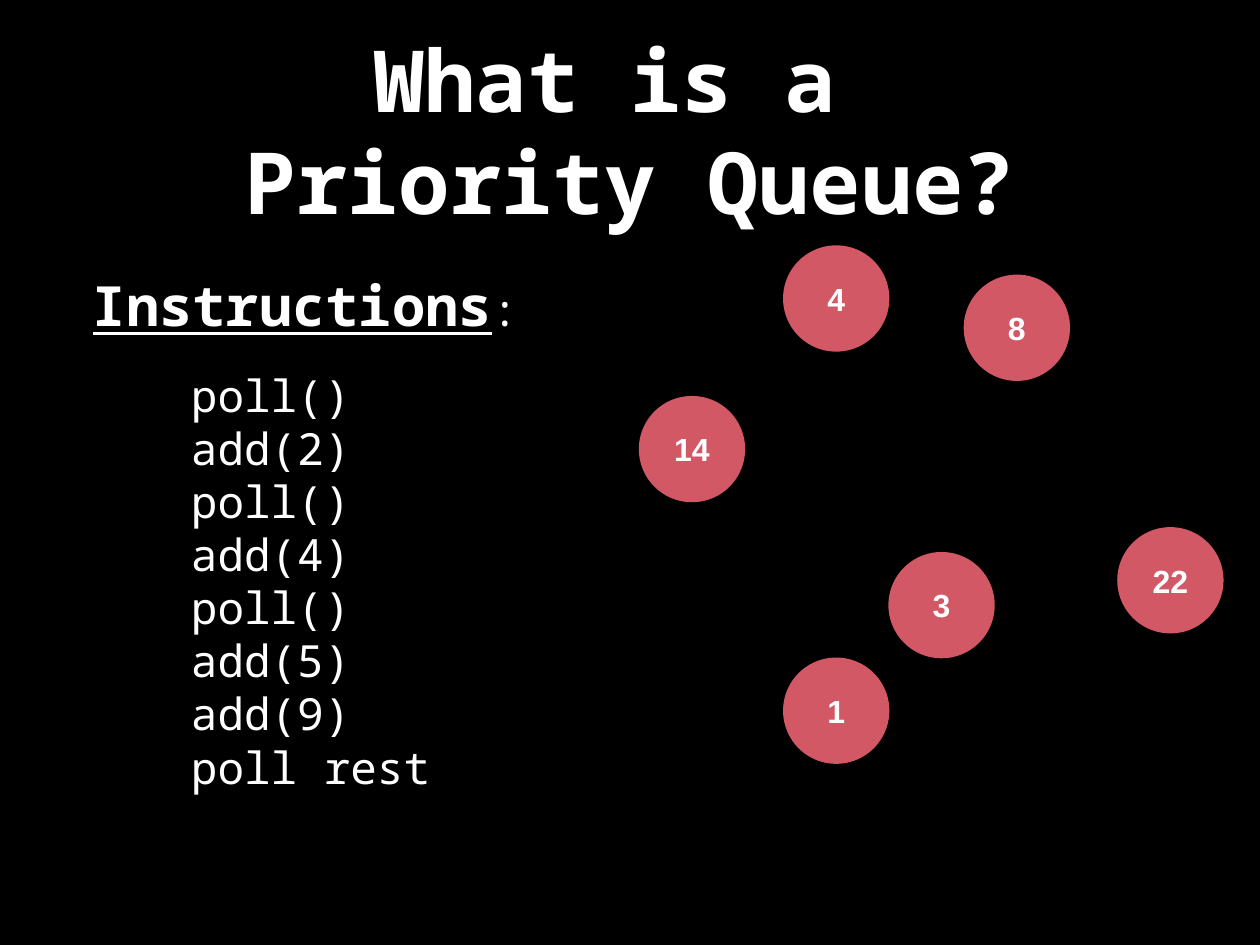
import dataclasses

import pptx
import pptx.dml.color
import pptx.enum.shapes
import pptx.enum.text
import pptx.util

Pt = pptx.util.Pt
ALIGN = pptx.enum.text.PP_ALIGN
AUTO = pptx.enum.text.MSO_AUTO_SIZE

COLORS = {"background": "000000", "text": "FFFFFF", "ball": "D35866"}
MONO = "Noto Sans Mono"
INSET = 4
BALL_SIZE = 86.4


@dataclasses.dataclass(frozen=True)
class Run:
    text: str
    size: float
    font: str = MONO
    bold: bool = False
    underline: bool = False


@dataclasses.dataclass(frozen=True)
class TextBox:
    left: float
    top: float
    width: float
    height: float
    lines: list[list[Run]]
    align: ALIGN
    wrap: bool = False


@dataclasses.dataclass(frozen=True)
class Ball:
    value: int
    left: float
    top: float


BOXES = [
    TextBox(75, 20, 874, 170,
            [[Run(line, 69.6, bold=True)] for line in ("What is a ", "Priority Queue?")],
            ALIGN.CENTER, wrap=True),
    TextBox(70.5, 216.7, 355.7, 61.2,
            [[Run("Instructions", 45, bold=True, underline=True), Run(":", 36)]],
            ALIGN.CENTER),
    TextBox(151.2, 283, 203.8, 377.3,
            [[Run(line, 36)] for line in (
                "poll()", "add(2)", "poll()", "add(4)",
                "poll()", "add(5)", "add(9)", "poll rest")],
            ALIGN.LEFT),
]

BALLS = [
    Ball(4, 636.4, 199.4),
    Ball(8, 783.2, 223.2),
    Ball(1, 636.4, 534.4),
    Ball(14, 519.2, 321.8),
    Ball(3, 722, 448.6),
    Ball(22, 908, 428.4),
]


def rgb(name: str) -> pptx.dml.color.RGBColor:
    return pptx.dml.color.RGBColor.from_string(COLORS[name])


def write_lines(tf: pptx.text.text.TextFrame, lines: list[list[Run]],
                align: ALIGN, wrap: bool) -> None:
    tf.margin_left = tf.margin_right = tf.margin_top = tf.margin_bottom = Pt(INSET)
    tf.vertical_anchor = pptx.enum.text.MSO_ANCHOR.MIDDLE
    tf.word_wrap = wrap
    tf.auto_size = AUTO.NONE if wrap else AUTO.SHAPE_TO_FIT_TEXT
    for i, line in enumerate(lines):
        p = tf.paragraphs[0] if i == 0 else tf.add_paragraph()
        p.alignment = align
        for run in line:
            r = p.add_run()
            r.text = run.text
            r.font.name = run.font
            r.font.size = Pt(run.size)
            r.font.bold = run.bold
            r.font.underline = run.underline
            r.font.color.rgb = rgb("text")


def draw_box(s: pptx.slide.Slide, box: TextBox) -> None:
    sp = s.shapes.add_textbox(Pt(box.left), Pt(box.top), Pt(box.width), Pt(box.height))
    write_lines(sp.text_frame, box.lines, box.align, box.wrap)


def draw_ball(s: pptx.slide.Slide, ball: Ball) -> None:
    sp = s.shapes.add_shape(pptx.enum.shapes.MSO_SHAPE.OVAL, Pt(ball.left), Pt(ball.top),
                            Pt(BALL_SIZE), Pt(BALL_SIZE))
    sp.shadow.inherit = False
    sp.fill.solid()
    sp.fill.fore_color.rgb = rgb("ball")
    sp.line.fill.background()
    label = Run(str(ball.value), 26, "Arial", bold=True)
    write_lines(sp.text_frame, [[label]], ALIGN.CENTER, wrap=True)


def main() -> None:
    prs = pptx.Presentation()
    prs.slide_width, prs.slide_height = Pt(1024), Pt(768)
    s = prs.slides.add_slide(prs.slide_layouts[6])
    s.background.fill.solid()
    s.background.fill.fore_color.rgb = rgb("background")
    for ball in BALLS:
        draw_ball(s, ball)
    for box in BOXES:
        draw_box(s, box)
    prs.save("out.pptx")


if __name__ == "__main__":
    main()
